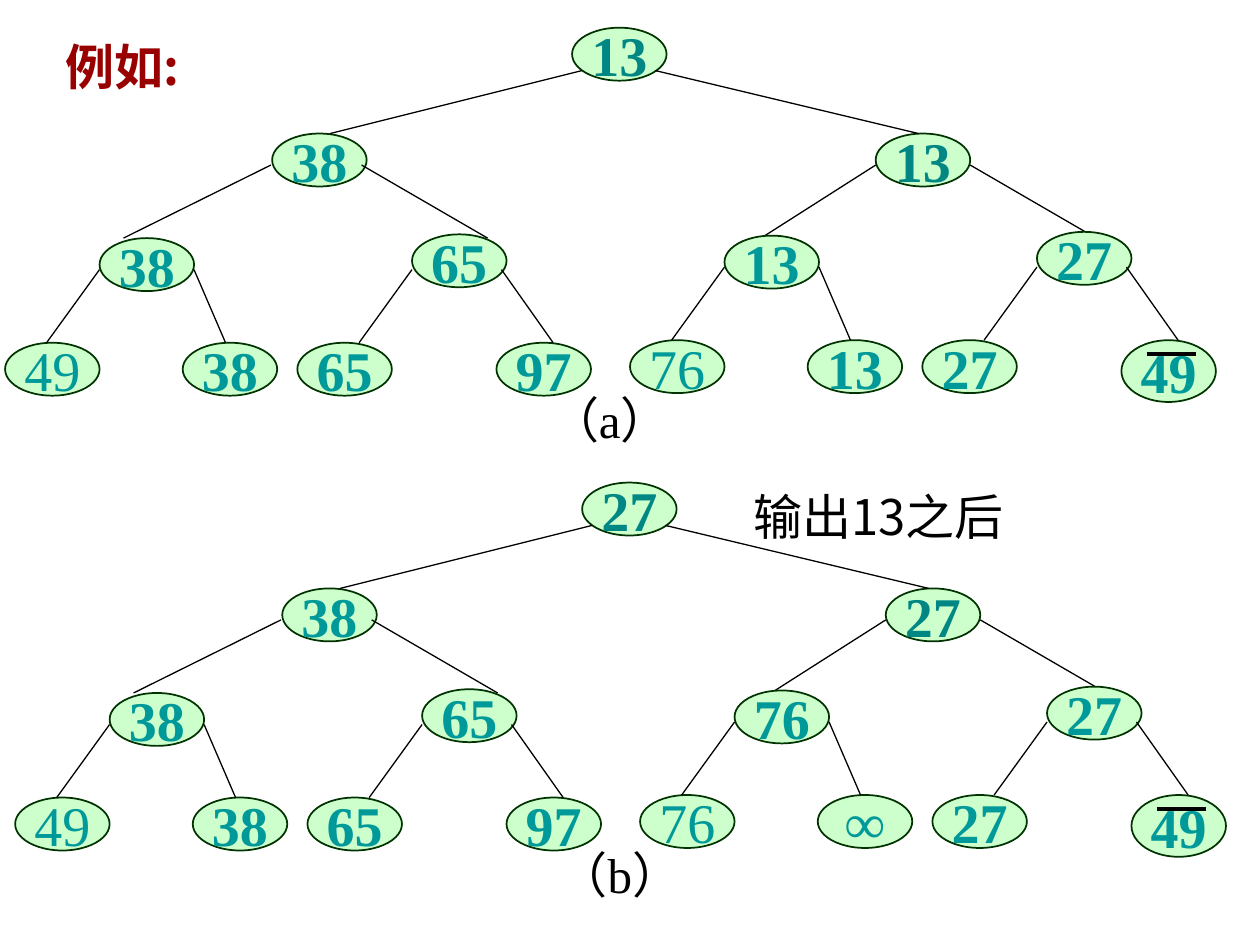
from dataclasses import dataclass

from lxml.etree import SubElement
from pptx import Presentation
from pptx.dml.color import RGBColor
from pptx.enum.shapes import MSO_CONNECTOR as Connector, MSO_SHAPE as Shape
from pptx.enum.text import MSO_ANCHOR as Anchor, MSO_AUTO_SIZE as AutoSize, PP_ALIGN as Align
from pptx.oxml.ns import qn
from pptx.util import Inches, Pt


@dataclass(frozen=True)
class Theme:
    """Colours, fonts and type sizes of the slide."""
    fill: str = "CCFFCC"
    outline: str = "003300"
    key: str = "009999"
    winner: str = "008784"
    title: str = "990000"
    ink: str = "000000"
    latin: str = "Times New Roman"
    chinese: str = "Noto Sans CJK SC"
    node_size: int = 32
    text_size: int = 28
    thin: float = 0.75
    thick: float = 2


THEME = Theme()
NODE_WIDTH, NODE_HEIGHT, TALL_HEIGHT = 0.75, 0.42, 0.49

TOP_NODES = [(4.54, 0.22), (2.16, 1.06), (6.95, 1.06)]
TOP_EDGES = [
    (4.62, 0.56, 2.62, 1.06), (5.2, 0.56, 7.29, 1.06),
    (2.15, 1.31, 0.98, 1.89), (2.87, 1.31, 3.87, 1.89),
    (6.95, 1.31, 6.04, 1.89), (7.7, 1.31, 8.7, 1.89),
]
BRANCH_NODES = [(0.79, 1.89), (3.27, 1.86), (0.04, 2.72), (1.45, 2.72), (2.36, 2.72), (3.94, 2.72)]
BRANCH_EDGES = [
    (0.79, 2.14, 0.37, 2.72), (1.54, 2.14, 1.79, 2.72),
    (3.27, 2.14, 2.85, 2.72), (3.98, 2.14, 4.39, 2.72),
]
RIGHT_SHIFT = (4.96, -0.02)


def add_span(para, text, size, color, font, bold=False):
    """Add one formatted run to a paragraph."""
    span = para.add_run()
    span.text = text
    span.font.size = Pt(size)
    span.font.bold = bold
    span.font.color.rgb = RGBColor.from_string(color)
    span.font.name = font
    SubElement(span.font._element, qn("a:ea")).set("typeface", THEME.chinese)


def add_node(page, left, top, text, color=THEME.key, bold=True, height=NODE_HEIGHT):
    """Draw one oval tree node with its key."""
    node = page.shapes.add_shape(
        Shape.OVAL, Inches(left), Inches(top), Inches(NODE_WIDTH), Inches(height))
    node.shadow.inherit = False
    node.fill.solid()
    node.fill.fore_color.rgb = RGBColor.from_string(THEME.fill)
    node.line.color.rgb = RGBColor.from_string(THEME.outline)
    node.line.width = Pt(1)
    frame = node.text_frame
    frame.word_wrap = False
    frame.vertical_anchor = Anchor.MIDDLE
    para = frame.paragraphs[0]
    para.alignment = Align.CENTER
    add_span(para, text, THEME.node_size, color, THEME.latin, bold)


def add_line(page, left, top, ends, width=THEME.thin):
    """Draw a straight line whose ends are relative to a corner."""
    x1, y1, x2, y2 = ends
    line = page.shapes.add_connector(
        Connector.STRAIGHT, Inches(left + x1), Inches(top + y1), Inches(left + x2), Inches(top + y2))
    line.line.color.rgb = RGBColor.from_string(THEME.ink)
    line.line.width = Pt(width)
    SubElement(line._element.spPr, qn("a:effectLst"))


def add_branch(page, left, top, keys, overlined=False):
    """Draw two inner nodes and their four leaves, the first leaf in plain type."""
    for index, ((x, y), key) in enumerate(zip(BRANCH_NODES, keys)):
        tall = overlined and index == len(keys) - 1
        add_node(page, left + x, top + y, key, bold=index != 2,
                 height=TALL_HEIGHT if tall else NODE_HEIGHT)
    for ends in BRANCH_EDGES:
        add_line(page, left, top, ends)
    if overlined:
        add_line(page, left, top, (4.14, 2.83, 4.53, 2.83), THEME.thick)


def add_tree(page, left, top, top_keys, left_keys, right_keys, caption):
    """Draw a whole selection tree and its caption from the given corner."""
    for (x, y), key, color in zip(TOP_NODES, top_keys, (THEME.winner, THEME.key, THEME.winner)):
        add_node(page, left + x, top + y, key, color)
    add_branch(page, left, top, left_keys)
    for ends in TOP_EDGES:
        add_line(page, left, top, ends)
    shift_x, shift_y = RIGHT_SHIFT
    add_branch(page, left + shift_x, top + shift_y, right_keys, overlined=True)
    add_label(page, left + 4.13, top + 3.04, 1.42, caption, THEME.latin)


def add_label(page, left, top, width, text, font):
    """Add a centred line of black text."""
    box = page.shapes.add_textbox(Inches(left), Inches(top), Inches(width), Inches(0.57))
    box.text_frame.word_wrap = True
    box.text_frame.auto_size = AutoSize.SHAPE_TO_FIT_TEXT
    para = box.text_frame.paragraphs[0]
    para.alignment = Align.CENTER
    add_span(para, text, THEME.text_size, THEME.ink, font)


def add_title(page, left, top, width, height):
    """Move and format the title placeholder."""
    title = page.shapes.title
    title.left, title.top = Inches(left), Inches(top)
    title.width, title.height = Inches(width), Inches(height)
    frame = title.text_frame
    frame.word_wrap = False
    frame.auto_size = AutoSize.SHAPE_TO_FIT_TEXT
    frame.vertical_anchor = Anchor.TOP
    para = frame.paragraphs[0]
    para.alignment = Align.LEFT
    add_span(para, "例如:", THEME.text_size, THEME.title, THEME.chinese, bold=True)


def main():
    """Build and save the slide."""
    deck = Presentation()
    deck.slide_width, deck.slide_height = Inches(10), Inches(7.5)
    page = deck.slides.add_slide(deck.slide_layouts.get_by_name("Title Only"))
    add_title(page, 0.42, 0.24, 1.18, 0.57)
    left_keys = ["38", "65", "49", "38", "65", "97"]
    add_tree(page, 0, 0, ["13", "38", "13"], left_keys,
             ["13", "27", "76", "13", "27", "49"], "（a）")
    add_tree(page, 0.08, 3.61, ["27", "38", "27"], left_keys,
             ["76", "27", "76", "∞", "27", "49"], "（b）")
    add_label(page, 5.63, 3.81, 2.68, "输出13之后", THEME.chinese)
    deck.save("out.pptx")


if __name__ == "__main__":
    main()
